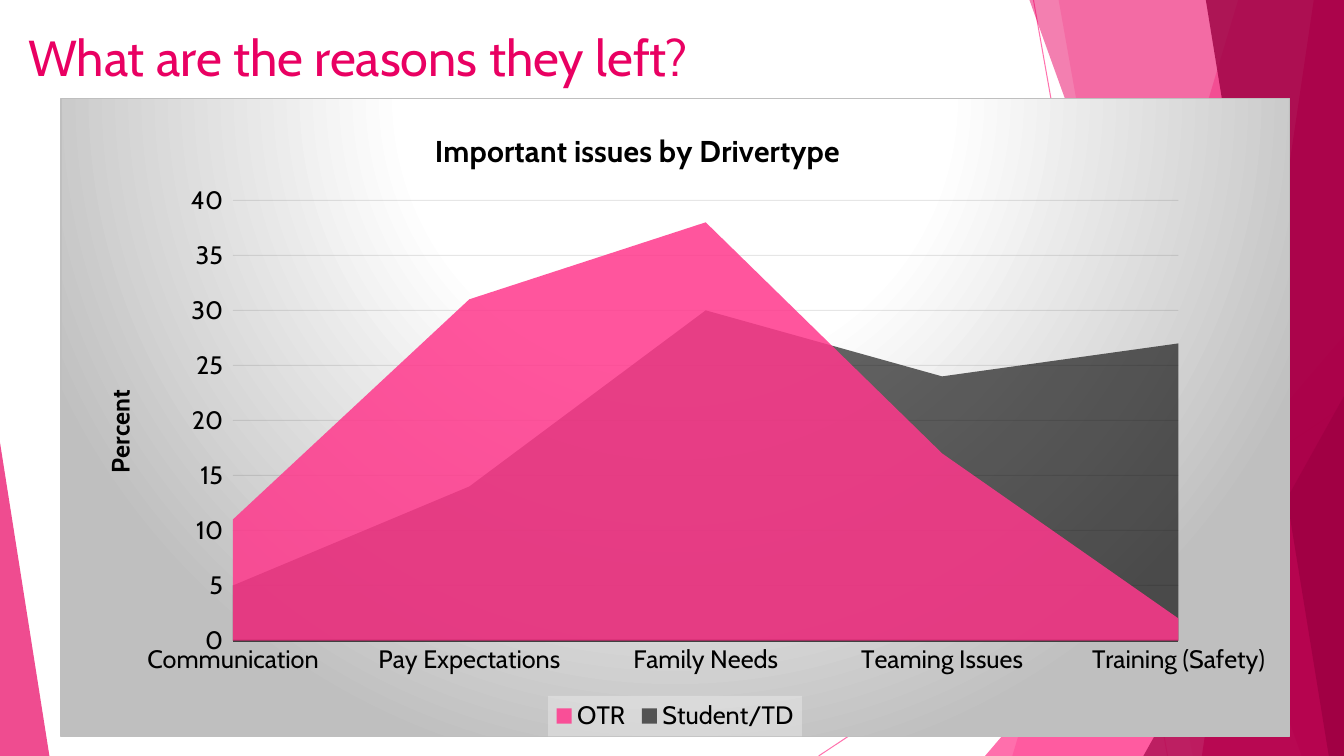
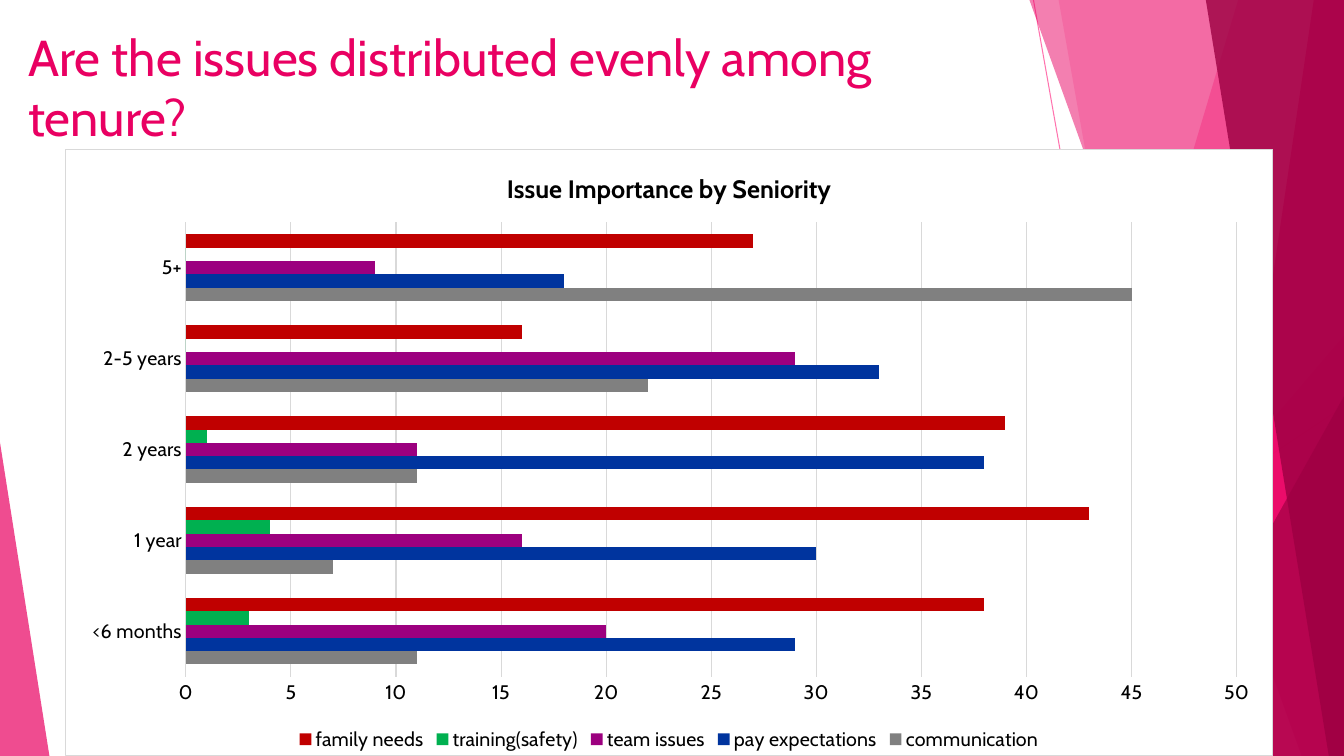
from lxml import etree
from pptx import Presentation
from pptx.chart.data import CategoryChartData
from pptx.dml.color import RGBColor
from pptx.enum.chart import XL_CHART_TYPE, XL_LEGEND_POSITION, XL_TICK_MARK
from pptx.enum.shapes import MSO_CONNECTOR, MSO_SHAPE
from pptx.oxml import parse_xml
from pptx.oxml.ns import nsdecls, qn
from pptx.util import Inches, Pt

# Shared style
FONT = "Cabin"
BLACK = RGBColor(0x00, 0x00, 0x00)
WHITE = RGBColor(0xFF, 0xFF, 0xFF)
PINK = RGBColor(0xFF, 0x38, 0x8C)
MAGENTA = RGBColor(0xE9, 0x00, 0x62)
WINE = RGBColor(0x9C, 0x00, 0x42)
NEAR_BLACK = RGBColor(0x0D, 0x0D, 0x0D)
DARK_GRAY = RGBColor(0x40, 0x40, 0x40)
GRAY = RGBColor(0x80, 0x80, 0x80)
SILVER = RGBColor(0xBF, 0xBF, 0xBF)
LIGHT_GRAY = RGBColor(0xD9, 0xD9, 0xD9)
PALE_GRAY = RGBColor(0xF2, 0xF2, 0xF2)
BLUE = RGBColor(0x00, 0x34, 0x9E)
PURPLE = RGBColor(0x9C, 0x00, 0x7F)
GREEN = RGBColor(0x00, 0xB0, 0x50)
RED = RGBColor(0xC0, 0x00, 0x00)
WIDTH, HEIGHT = 13.33, 7.5

# Background decoration, back to front
HAIRLINES = [((10.25, 0), (11.58, 7.5)), ((13.33, 4.03), (8.12, 7.5))]
# Bands: left end of top edge, left end of bottom edge; they run to the right side
# Triangles: left, top, width, apex position; they stand on the bottom edge
FACETS = [
    ("band", (12.28, 10.04), PINK, 36),
    ("band", (10.5, 11.83), PINK, 20),
    ("triangle", (9.77, 3.33, 3.56, 1), PINK, 72),
    ("band", (10.21, 12.91), MAGENTA, 50),
    ("band", (13.03, 11.92), MAGENTA, 70),
    ("band", (11.96, 13.18), WINE, 80),
    ("triangle", (11.34, 3.93, 1.99, 1), WINE, 66),
    ("triangle", (0, 4.39, 0.49, 0), MAGENTA, 70),
]

# Slide content; layouts are fractions of the chart area
SLIDES = [
    {
        "title": "What are the reasons they left?",
        "title_width": 9.4,
        "type": XL_CHART_TYPE.AREA,
        "box": (0.6, 0.97, 12.19, 6.34),
        "size": 18,
        "chart_title": "Important issues by Drivertype",
        "chart_title_size": 21.5,
        "chart_title_at": (0.3, 0.04),
        "value_title": "Percent",
        "value_title_at": (0.03, 0.45),
        "plot": (0.14, 0.16, 0.77, 0.69),
        "maximum": 40,
        "tick": XL_TICK_MARK.OUTSIDE,
        "axis_line": (DARK_GRAY, 1.5),
        "grid": (NEAR_BLACK, 10),
        "gradient": [(0, WHITE), (39, WHITE), (100, SILVER)],
        "border": SILVER,
        "legend_fill": (PALE_GRAY, 39),
        "categories": ["Communication", "Pay Expectations", "Family Needs",
                       "Teaming Issues", "Training (Safety)"],
        "series": [
            ("OTR", (11, 31, 38, 17, 2), PINK, 85),
            ("Student/TD", (5, 14, 30, 24, 27), BLACK, 61),
        ],
    },
    {
        "title": "Are the issues distributed evenly among tenure?",
        "title_width": 9.52,
        "type": XL_CHART_TYPE.BAR_CLUSTERED,
        "box": (0.64, 1.48, 11.99, 6.02),
        "size": 14,
        "chart_title": "Issue Importance by Seniority",
        "chart_title_size": 18,
        "plot": (0.1, 0.12, 0.87, 0.75),
        "maximum": 50,
        "tick": XL_TICK_MARK.NONE,
        "axis_line": (LIGHT_GRAY, 0.75),
        "grid": (LIGHT_GRAY, 100),
        "border": LIGHT_GRAY,
        "gap": 182,
        "categories": ["<6 months", "1 year", "2 years", "2-5 years", "5+"],
        "series": [
            ("communication", (11, 7, 11, 22, 45), GRAY, 100),
            ("pay expectations", (29, 30, 38, 33, 18), BLUE, 100),
            ("team issues", (20, 16, 11, 29, 9), PURPLE, 100),
            ("training(safety)", (3, 4, 1, 0, 0), GREEN, 100),
            ("family needs", (38, 43, 39, 16, 27), RED, 100),
        ],
    },
]


def set_alpha(fill_parent, percent):
    """Make the first colour found under an element translucent."""
    if percent < 100:
        color = next(fill_parent.iter(qn("a:srgbClr")))
        etree.SubElement(color, qn("a:alpha")).set("val", str(percent * 1000))


def solid_xml(color, percent=100):
    return (f'<a:solidFill><a:srgbClr val="{color}">'
            f'<a:alpha val="{percent * 1000}"/></a:srgbClr></a:solidFill>')


def gradient_xml(stops):
    stop_list = "".join(
        f'<a:gs pos="{position * 1000}"><a:srgbClr val="{color}"/></a:gs>'
        for position, color in stops)
    return (f'<a:gradFill><a:gsLst>{stop_list}</a:gsLst><a:path path="circle">'
            '<a:fillToRect l="50000" t="-80000" r="50000" b="180000"/>'
            '</a:path></a:gradFill>')


def chart_properties(fill, border=None):
    line = f'<a:ln w="{Pt(0.75)}">{solid_xml(border)}</a:ln>' if border else ""
    return parse_xml(f'<c:spPr {nsdecls("c", "a")}>{fill}{line}</c:spPr>')


def set_layout(element, index, position):
    """Place a chart part by hand: x, y and, for the plot, width and height."""
    for old in element.findall(qn("c:layout")):
        element.remove(old)
    target = '<c:layoutTarget val="inner"/>' if len(position) == 4 else ""
    values = "".join(f'<c:{name} val="{value}"/>' for name, value in zip("xywh", position))
    element.insert(index, parse_xml(
        f'<c:layout {nsdecls("c")}><c:manualLayout>{target}'
        '<c:xMode val="edge"/><c:yMode val="edge"/>'
        f'{values}</c:manualLayout></c:layout>'))


def write(paragraph, text, size, color, bold=False):
    run = paragraph.add_run()
    run.text = text
    run.font.name = FONT
    run.font.size = Pt(size)
    run.font.bold = bold
    run.font.color.rgb = color


def add_decoration(slide):
    for start, end in HAIRLINES:
        line = slide.shapes.add_connector(
            MSO_CONNECTOR.STRAIGHT, *(Inches(value) for value in start + end))
        line.line.color.rgb = PINK
        line.line.width = Pt(0.75)
        properties = line._element.spPr
        set_alpha(properties, 70)
        etree.SubElement(properties, qn("a:effectLst"))

    for kind, geometry, color, alpha in FACETS:
        if kind == "band":
            top_x, bottom_x = geometry
            builder = slide.shapes.build_freeform(Inches(top_x), 0)
            corners = [(WIDTH, 0), (WIDTH, HEIGHT), (bottom_x, HEIGHT)]
            builder.add_line_segments([(Inches(x), Inches(y)) for x, y in corners])
            shape = builder.convert_to_shape()
        else:
            left, top, width, apex = geometry
            shape = slide.shapes.add_shape(
                MSO_SHAPE.ISOSCELES_TRIANGLE, Inches(left), Inches(top),
                Inches(width), Inches(HEIGHT - top))
            shape.adjustments[0] = apex
        shape.shadow.inherit = False
        shape.fill.solid()
        shape.fill.fore_color.rgb = color
        set_alpha(shape._element.spPr, alpha)
        shape.line.fill.background()


def add_title(slide, text, width):
    box = slide.shapes.add_textbox(Inches(0.18), Inches(0.21), Inches(width), Inches(1.44))
    box.text_frame.word_wrap = True
    write(box.text_frame.paragraphs[0], text, 36, MAGENTA)


def style_axes(chart, content):
    category_axis, value_axis = chart.category_axis, chart.value_axis
    color, width = content["axis_line"]
    category_axis.format.line.color.rgb = color
    category_axis.format.line.width = Pt(width)
    category_axis.major_tick_mark = XL_TICK_MARK.NONE
    category_axis.has_major_gridlines = False

    value_axis.minimum_scale = 0
    value_axis.maximum_scale = content["maximum"]
    value_axis.major_unit = 5
    value_axis.major_tick_mark = content["tick"]
    value_axis.format.line.fill.background()
    value_axis.has_major_gridlines = True
    color, alpha = content["grid"]
    grid_line = value_axis.major_gridlines.format.line
    grid_line.color.rgb = color
    grid_line.width = Pt(0.75)
    set_alpha(value_axis._element.find(qn("c:majorGridlines")), alpha)

    if "value_title" in content:
        title = value_axis.axis_title
        write(title.text_frame.paragraphs[0], content["value_title"],
              content["size"], BLACK, bold=True)
        set_layout(title._element, 1, content["value_title_at"])


def add_issue_chart(slide, content):
    data = CategoryChartData()
    data.categories = content["categories"]
    for name, values, *_ in content["series"]:
        data.add_series(name, values)
    box = [Inches(value) for value in content["box"]]
    chart = slide.shapes.add_chart(content["type"], *box, data).chart
    chart.font.name = FONT
    chart.font.size = Pt(content["size"])
    chart.font.color.rgb = BLACK

    # Title and legend
    chart.has_title = True
    write(chart.chart_title.text_frame.paragraphs[0], content["chart_title"],
          content["chart_title_size"], BLACK, bold=True)
    if "chart_title_at" in content:
        set_layout(chart.chart_title._element, 1, content["chart_title_at"])
    chart.has_legend = True
    chart.legend.position = XL_LEGEND_POSITION.BOTTOM
    chart.legend.include_in_layout = False
    if "legend_fill" in content:
        chart.legend._element.append(chart_properties(solid_xml(*content["legend_fill"])))

    # Series
    plot = chart.plots[0]
    plot.vary_by_categories = False
    if "gap" in content:
        plot.gap_width = content["gap"]
        plot.overlap = 0
    for series, (_, _, color, alpha) in zip(plot.series, content["series"]):
        series.format.fill.solid()
        series.format.fill.fore_color.rgb = color
        set_alpha(series._element, alpha)

    style_axes(chart, content)

    # Plot placement and chart background
    chart_element = chart._chartSpace.find(qn("c:chart"))
    set_layout(chart_element.find(qn("c:plotArea")), 0, content["plot"])
    fill = gradient_xml(content["gradient"]) if "gradient" in content else solid_xml(WHITE)
    chart_element.addnext(chart_properties(fill, content["border"]))


def main():
    presentation = Presentation()
    presentation.slide_width = Inches(WIDTH)
    presentation.slide_height = Inches(HEIGHT)
    for content in SLIDES:
        slide = presentation.slides.add_slide(presentation.slide_layouts[6])
        add_decoration(slide)
        add_title(slide, content["title"], content["title_width"])
        add_issue_chart(slide, content)
    presentation.save("out.pptx")


if __name__ == "__main__":
    main()
